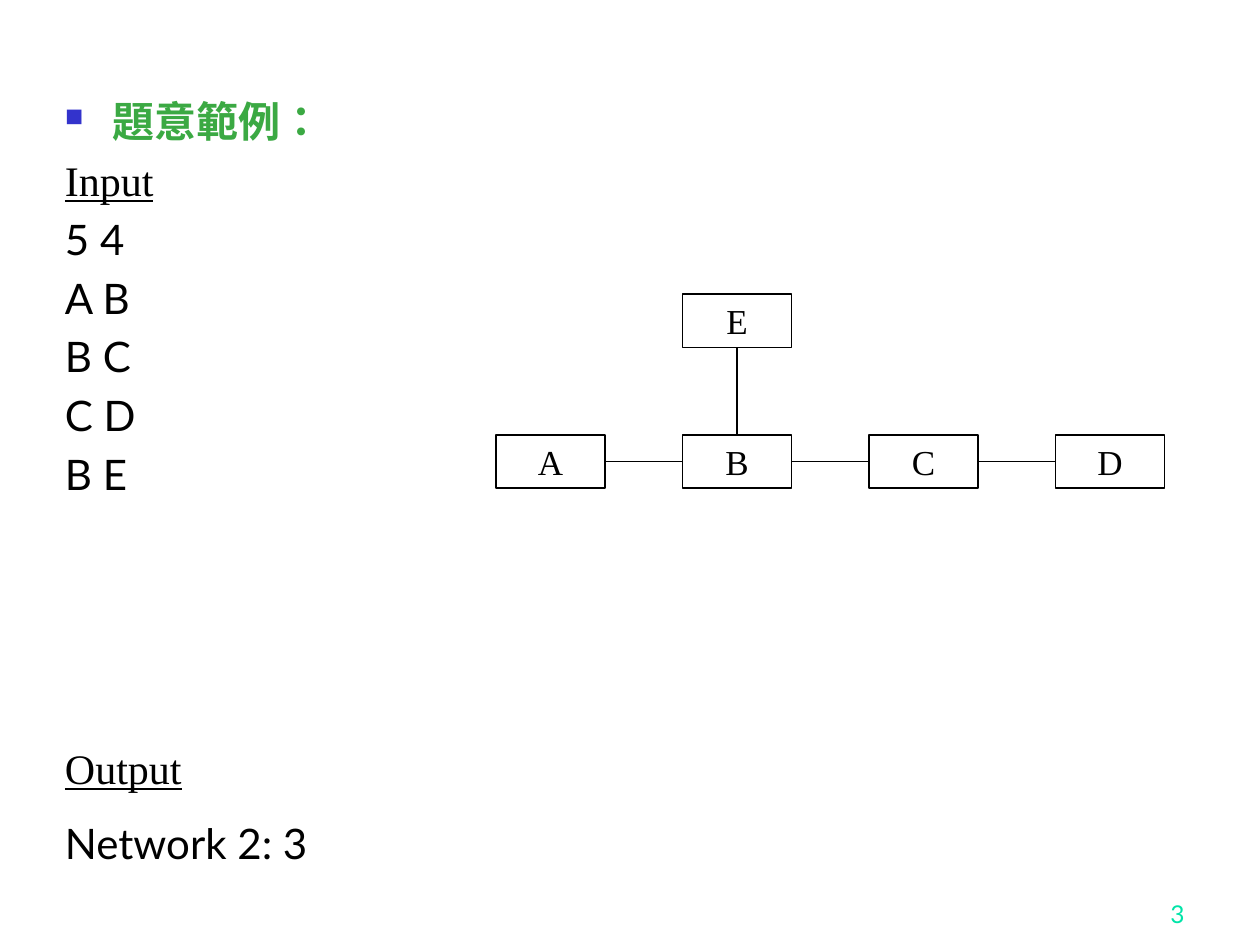
from lxml import etree
from pptx import Presentation
from pptx.dml.color import RGBColor
from pptx.enum.lang import MSO_LANGUAGE_ID
from pptx.enum.shapes import MSO_CONNECTOR, MSO_SHAPE
from pptx.enum.text import MSO_ANCHOR, PP_ALIGN
from pptx.oxml.ns import qn
from pptx.util import Cm, Pt

RECTANGLE = MSO_SHAPE.RECTANGLE
STRAIGHT = MSO_CONNECTOR.STRAIGHT
TOP, MIDDLE, BOTTOM = MSO_ANCHOR.TOP, MSO_ANCHOR.MIDDLE, MSO_ANCHOR.BOTTOM
LEFT, CENTER, RIGHT = PP_ALIGN.LEFT, PP_ALIGN.CENTER, PP_ALIGN.RIGHT
ENGLISH, CHINESE = MSO_LANGUAGE_ID.ENGLISH_US, MSO_LANGUAGE_ID.TAIWAN if hasattr(
    MSO_LANGUAGE_ID, "TAIWAN") else MSO_LANGUAGE_ID.TRADITIONAL_CHINESE
SERIF, SANS = "Times New Roman", "Lato"


def color(value):
    return RGBColor.from_string(value)


def write(frame, text, size=24, font=SERIF, ink="000000", bold=False,
          underline=False, align=LEFT, spacing=1.0, before=0, bullet=None,
          language=ENGLISH):
    para = frame.paragraphs[0]
    if para.runs:
        para = frame.add_paragraph()
    para.alignment = align
    para.line_spacing = spacing
    para.space_before = Pt(before)
    if bullet:
        props = para._p.get_or_add_pPr()
        props.set("marL", str(Cm(0.95)))
        props.set("indent", str(Cm(-0.95)))
        bullet_color = etree.SubElement(props, qn("a:buClr"))
        etree.SubElement(bullet_color, qn("a:srgbClr"), val="3333CC")
        etree.SubElement(props, qn("a:buSzPct"), val="60000")
        etree.SubElement(props, qn("a:buFont"), typeface="Wingdings")
        etree.SubElement(props, qn("a:buChar"), char=bullet)
    span = para.add_run()
    span.text = text
    span.font.size = Pt(size)
    span.font.name = font
    span.font.bold = bold
    span.font.underline = underline
    span.font.language_id = language
    span.font.color.rgb = color(ink)


deck = Presentation()
deck.slide_width, deck.slide_height = Cm(25.4), Cm(19.05)
page = deck.slides.add_slide(deck.slide_layouts[6])

frames = []
for left, top, width, height, anchor in [
    (1.06, 1.91, 7.4, 11.6, TOP),
    (1.06, 14.33, 8.23, 3.12, TOP),
    (18.85, 17.58, 5.28, 1.27, BOTTOM),
]:
    box = page.shapes.add_textbox(Cm(left), Cm(top), Cm(width), Cm(height))
    box.text_frame.word_wrap = True
    box.text_frame.vertical_anchor = anchor
    frames.append(box.text_frame)
example, output, number = frames

write(example, "題意範例：", ink="3BA943", bold=True, spacing=0.9,
      bullet="n", language=CHINESE)
write(example, "Input", underline=True, before=4.8)
for line in ["5 4", "A B", "B C", "C D", "B E"]:
    write(example, line, font=SANS, before=4.8)
write(output, "Output", underline=True, spacing=1.5)
write(output, "Network 2: 3", font=SANS, spacing=1.5)
write(number, "3", size=14, font=SANS, ink="00E4A8", align=RIGHT)

node_width, node_height, step = 2.2, 1.07, 3.76
row_left, row_top, upper_top = 10, 8.77, 5.93
nodes = {name: (row_left + i * step, row_top) for i, name in enumerate("ABCD")}
nodes["E"] = (nodes["B"][0], upper_top)

for name, (left, top) in nodes.items():
    node = page.shapes.add_shape(
        RECTANGLE, Cm(left), Cm(top), Cm(node_width), Cm(node_height))
    node.shadow.inherit = False
    node.fill.background()
    node.line.color.rgb = color("000000")
    node.line.width = Pt(0.75)
    node.text_frame.word_wrap = False
    node.text_frame.vertical_anchor = MIDDLE
    write(node.text_frame, name, size=20, align=CENTER)

middle = row_top + node_height / 2
stem = nodes["B"][0] + node_width / 2
links = [(nodes[a][0] + node_width, middle, nodes[b][0], middle)
         for a, b in ["AB", "BC", "CD"]]
links.append((stem, row_top, stem, upper_top + node_height))
for ends in links:
    link = page.shapes.add_connector(STRAIGHT, *[Cm(end) for end in ends])
    link.line.color.rgb = color("000000")
    link.line.width = Pt(1)
    etree.SubElement(link._element.spPr, qn("a:effectLst"))
deck.save("out.pptx")
